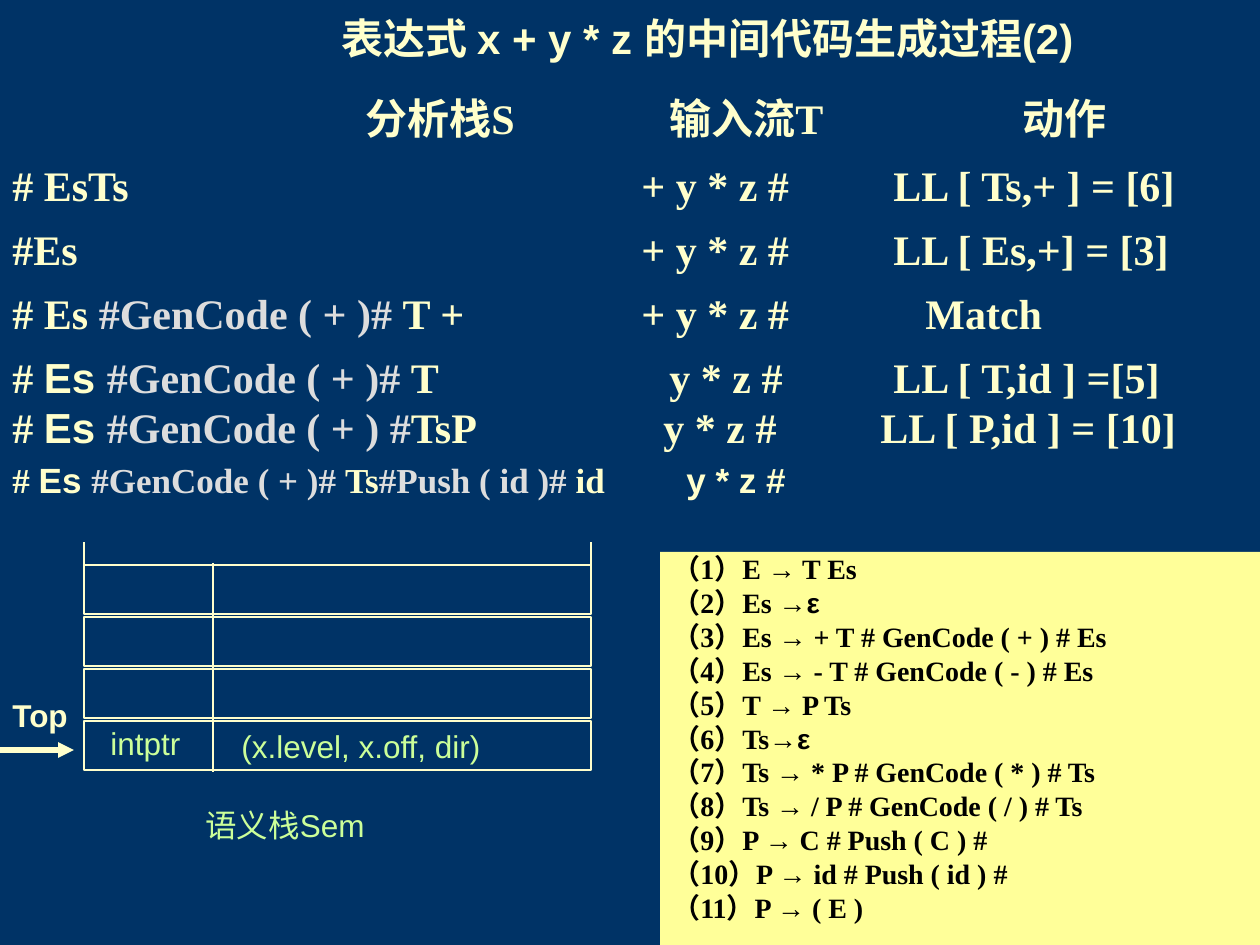
from lxml.etree import SubElement
from pptx import Presentation
from pptx.dml.color import RGBColor
from pptx.enum.shapes import MSO_CONNECTOR, MSO_SHAPE
from pptx.enum.text import MSO_ANCHOR, MSO_AUTO_SIZE, PP_ALIGN
from pptx.oxml.ns import qn
from pptx.util import Emu, Pt

COLORS = {"background": "003366", "cream": "FFFFCC", "action": "DDDDDD",
          "label": "CCFF99", "panel": "FFFF99", "ink": "000000"}
SERIF, SANS = "Times New Roman", "Arial"
INSET = 13

TRACE = [
    ([("# EsTs", "")], [("+ y * z #", 642), ("LL [ Ts,+ ] = [6]", 894)]),
    ([("#Es", "")], [("+ y * z #", 642), ("LL [ Es,+] = [3]", 894)]),
    ([("# Es ", ""), ("#GenCode ( + )# ", "action"), ("T +", "")],
     [("+ y * z #", 642), ("Match", 926)]),
    ([("# ", ""), ("Es ", "sans"), ("#GenCode ( + )# ", "action"), ("T", "")],
     [("y * z #", 670), ("LL [ T,id ] =[5]", 894)]),
    ([("# ", ""), ("Es ", "sans"), ("#GenCode ( + ) #", "action"), ("TsP", "")],
     [("y * z #", 664), ("LL [ P,id ] = [10]", 881)]),
    ([("# ", ""), ("Es ", "sans"), ("#GenCode ( + )# ", "action"), ("Ts", ""),
      ("#Push ( id )# ", "action"), ("id", "")],
     [("y * z #", 687)]),
]
TRACE_FORMATS = [(24, 0.75, 0)] + [(24, 0.75, 15)] * 3 + [(24, 1, 0), (20, 1, 4)]

GRAMMAR = ["（1）E → T Es", "（2）Es →ε", "（3）Es → + T # GenCode ( + ) # Es",
           "（4）Es → - T # GenCode ( - ) # Es", "（5）T → P Ts", "（6）Ts→ε",
           "（7）Ts → * P # GenCode ( * ) # Ts", "（8）Ts → / P # GenCode ( / ) # Ts",
           "（9）P → C # Push ( C ) #", "（10）P → id # Push ( id ) #", "（11）P → ( E )"]


def px(length):
    """Turn slide pixels into EMU."""
    return Emu(round(length * 914400 / 126))


def color(name):
    """Look up a palette colour."""
    return RGBColor.from_string(COLORS[name])


def set_font(font, size, name, tint, bold=False):
    """Format a font in one go."""
    font.size, font.name, font.bold = Pt(size), name, bold
    font.color.rgb = color(tint)


def set_tabs(paragraph, stops):
    """Give a paragraph left tab stops."""
    tab_list = SubElement(paragraph._p.get_or_add_pPr(), qn("a:tabLst"))
    for stop in stops:
        SubElement(tab_list, qn("a:tab"), pos=str(px(stop)), algn="l")


def add_run(paragraph, text):
    """Append a run of text and return it."""
    run = paragraph.add_run()
    run.text = text
    return run


def add_text_frame(slide, left, top, width, height):
    """Add a wrapping text box and return its frame."""
    frame = slide.shapes.add_textbox(px(left), px(top), px(width), px(height)).text_frame
    frame.word_wrap = True
    return frame


def add_label(slide, box, text, tint="label", bold=False):
    """Add a one-line sans label."""
    paragraph = add_text_frame(slide, *box).paragraphs[0]
    paragraph.text = text
    set_font(paragraph.font, 18, SANS, tint, bold)


def add_line(shapes, start, end, width=0.75):
    """Draw a cream straight line."""
    line = shapes.add_connector(MSO_CONNECTOR.STRAIGHT, *map(px, start + end))
    line.line.color.rgb, line.line.width = color("cream"), Pt(width)
    SubElement(line._element.spPr, qn("a:effectLst"))
    return line


def add_title(slide, left, top, width, height):
    """Place and format the title placeholder."""
    title = slide.shapes.title
    title.left, title.top, title.width, title.height = map(px, (left, top, width, height))
    frame = title.text_frame
    frame.text = "表达式 x + y * z 的中间代码生成过程(2)"
    frame.word_wrap, frame.auto_size = False, MSO_AUTO_SIZE.NONE
    frame.vertical_anchor = MSO_ANCHOR.TOP
    paragraph = frame.paragraphs[0]
    paragraph.alignment, paragraph.line_spacing = PP_ALIGN.LEFT, 0.8
    paragraph.space_before = Pt(0)
    set_font(paragraph.font, 24, SANS, "cream", True)


def add_headings(slide, left, top, width, height):
    """Write the three column headings."""
    paragraph = add_text_frame(slide, left, top, width, height).paragraphs[0]
    set_tabs(paragraph, [304, 657])
    add_run(paragraph, "分析栈S\t输入流T\t动作")
    set_font(paragraph.font, 24, SERIF, "cream", True)


def add_trace(slide, left, top, width, height):
    """Write the parse steps, one paragraph each."""
    frame = add_text_frame(slide, left, top, width, height)
    for index, (stack, columns) in enumerate(TRACE):
        paragraph = frame.add_paragraph() if index else frame.paragraphs[0]
        size, spacing, before = TRACE_FORMATS[index]
        paragraph.line_spacing, paragraph.space_before = spacing, Pt(before)
        set_tabs(paragraph, [x - left - INSET for _, x in columns])
        set_font(paragraph.font, size, SERIF, "cream", True)
        for text, style in stack:
            run = add_run(paragraph, text)
            if style == "action":
                run.font.color.rgb = color("action")
            elif style == "sans":
                run.font.name = SANS
        for text, _ in columns:
            run = add_run(paragraph, "\t" + text)
    run.font.name = SANS


def add_stack(slide, left, top, width, height):
    """Draw the semantic stack with its labels and top pointer."""
    shapes = slide.shapes.add_group_shape().shapes
    right, first, pitch = left + width, top + 23, 52
    for row in range(4):
        cell = shapes.add_shape(MSO_SHAPE.RECTANGLE, px(left), px(first + row * pitch),
                                px(width), px(49))
        cell.shadow.inherit = False
        cell.fill.background()
        cell.line.color.rgb, cell.line.width = color("cream"), Pt(0.75)
    for x in (left, right):
        add_line(shapes, (x, top + 30), (x, top))
    add_line(shapes, (left + 129, top + 21), (left + 129, top + height))
    add_label(slide, (left + 14, top + 176, 207, 50), "intptr")
    add_label(slide, (left + 145, top + 179, 358, 50), "(x.level, x.off, dir)")
    add_label(slide, (left + 109, top + 258, 207, 50), "语义栈Sem")
    add_label(slide, (0, top + 148, 83, 50), "Top", "cream", True)
    pointer = add_line(slide.shapes, (0, top + 208), (left - 10, top + 208), 3)
    SubElement(pointer.line._get_or_add_ln(), qn("a:tailEnd"), type="triangle")


def add_grammar(slide, left, top, width, height):
    """List the productions on a yellow panel."""
    panel = slide.shapes.add_shape(MSO_SHAPE.RECTANGLE, *map(px, (left, top, width, height)))
    panel.shadow.inherit = False
    panel.fill.solid()
    panel.fill.fore_color.rgb = color("panel")
    panel.line.fill.background()
    frame = panel.text_frame
    frame.vertical_anchor = MSO_ANCHOR.TOP
    for index, production in enumerate(GRAMMAR):
        paragraph = frame.add_paragraph() if index else frame.paragraphs[0]
        paragraph.alignment, paragraph.line_spacing = PP_ALIGN.LEFT, 0.8
        paragraph.space_before = Pt(4 if index else 0)
        properties = paragraph._p.get_or_add_pPr()
        properties.set("marL", str(px(48)))
        properties.set("indent", str(-px(48)))
        set_font(paragraph.font, 16, SERIF, "ink", True)
        head, arrow, body = production.partition("→")
        add_run(paragraph, head)
        arrow_font = add_run(paragraph, arrow).font
        arrow_font.name, arrow_font.bold = SANS, False
        body_run = add_run(paragraph, body)
        if body == "ε":
            body_run.font.name = SANS


def main():
    """Build the slide and save it."""
    presentation = Presentation()
    presentation.slide_width, presentation.slide_height = px(1260), px(945)
    slide = presentation.slides.add_slide(presentation.slide_layouts[5])
    slide.background.fill.solid()
    slide.background.fill.fore_color.rgb = color("background")
    add_title(slide, 329, 16, 788, 53)
    add_headings(slide, 353, 86, 907, 63)
    add_trace(slide, 0, 165, 1216, 394)
    add_stack(slide, 84, 542, 507, 230)
    add_grammar(slide, 660, 552, 600, 393)
    presentation.save("out.pptx")


if __name__ == "__main__":
    main()
